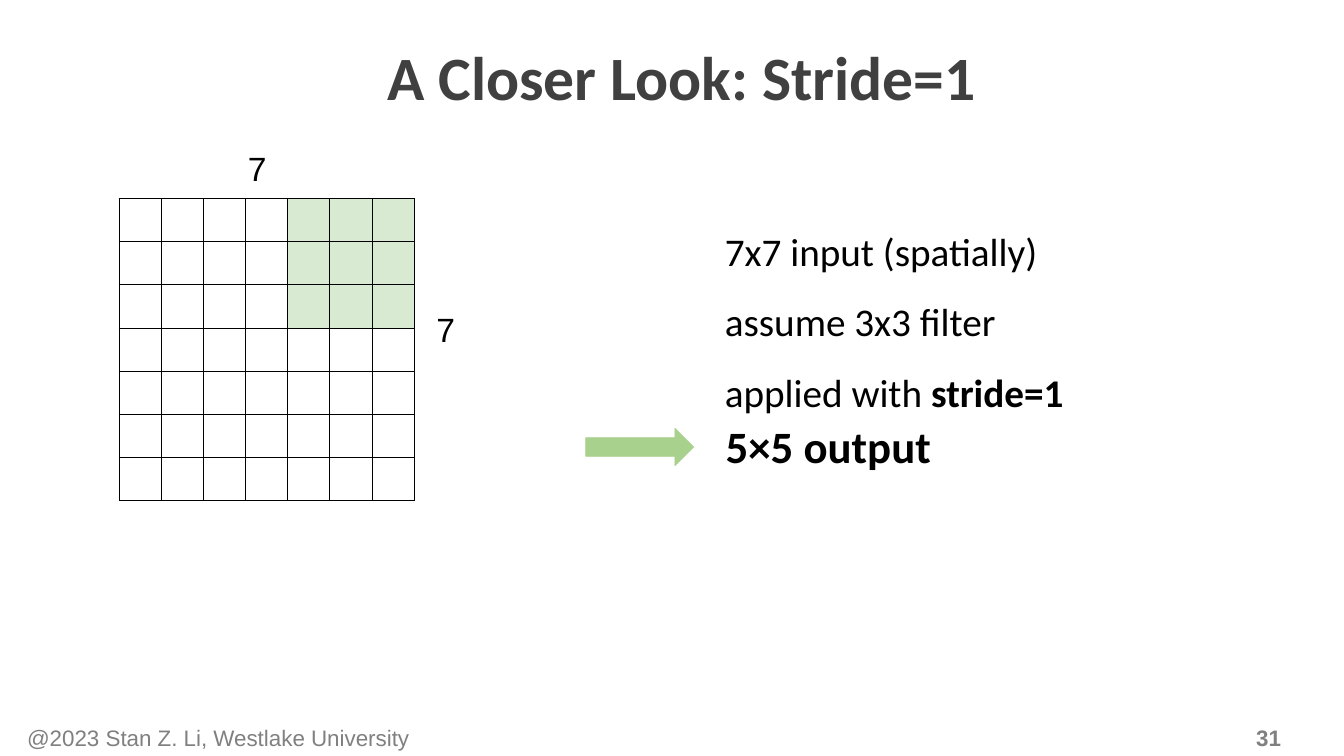
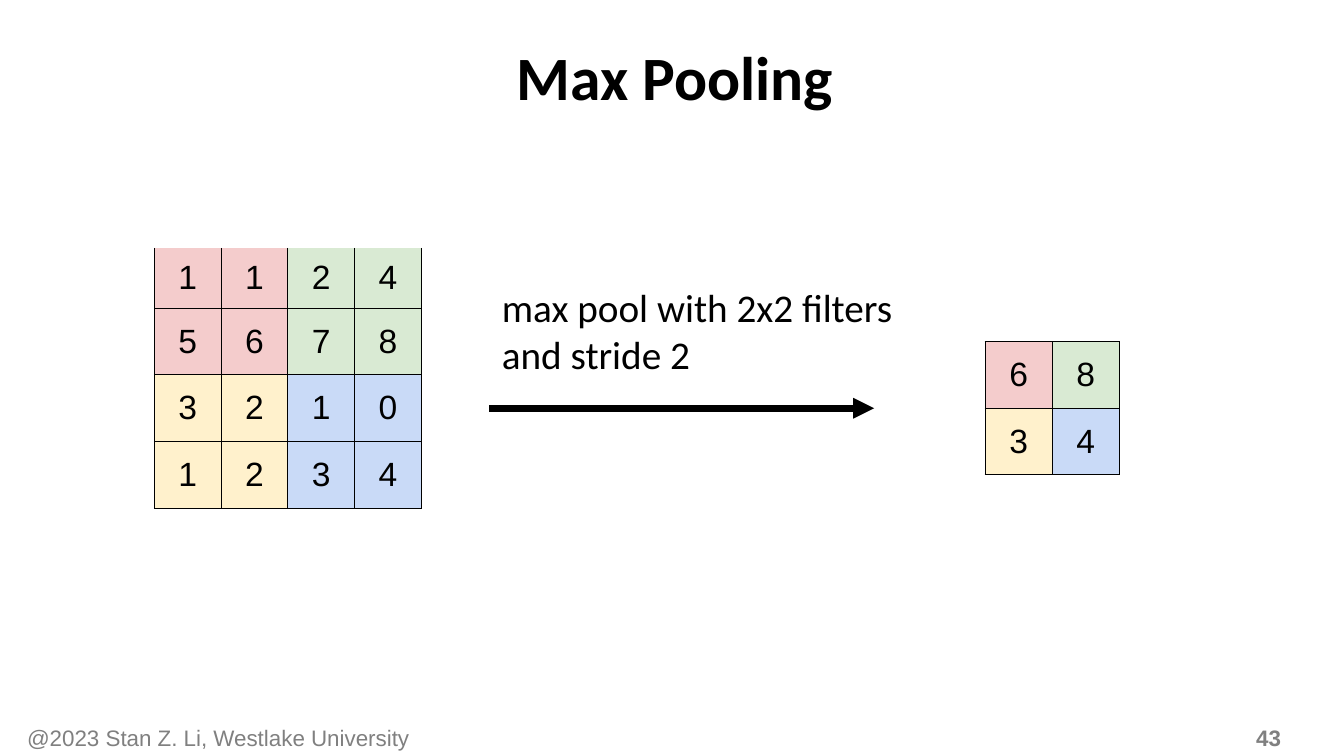
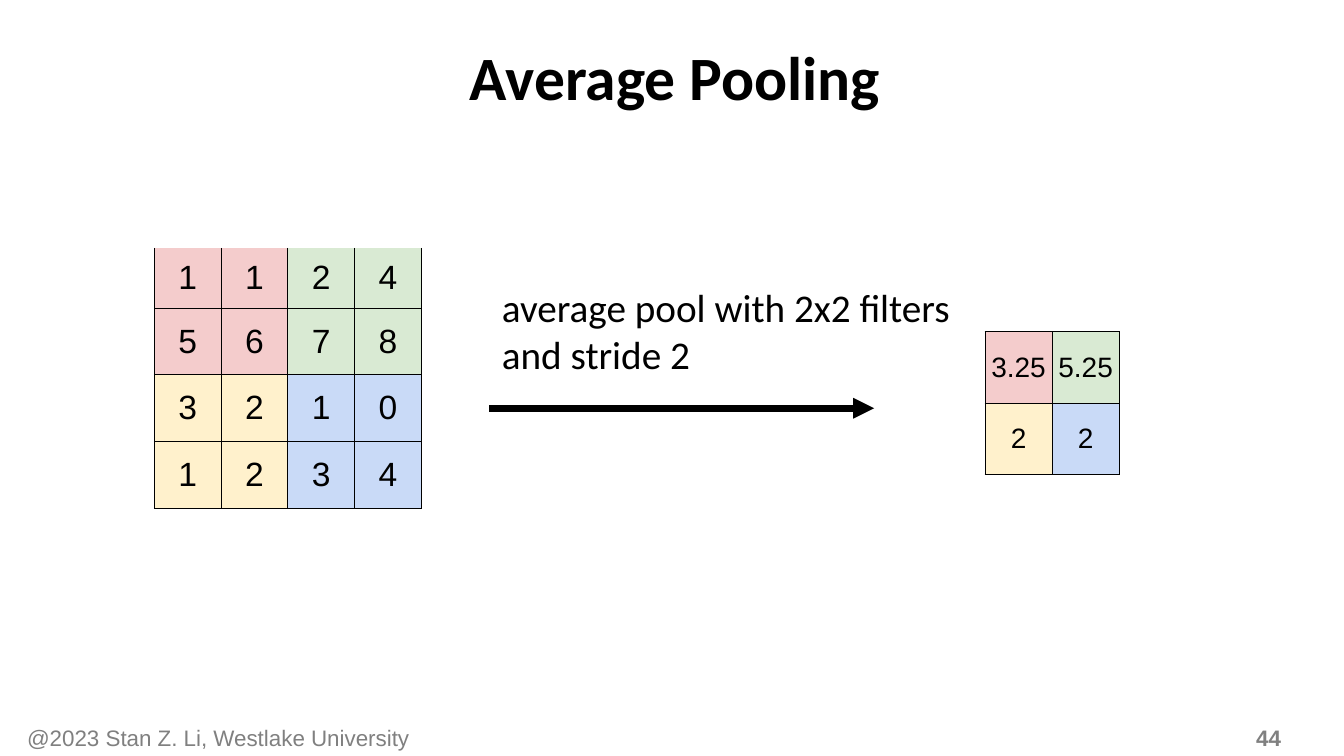
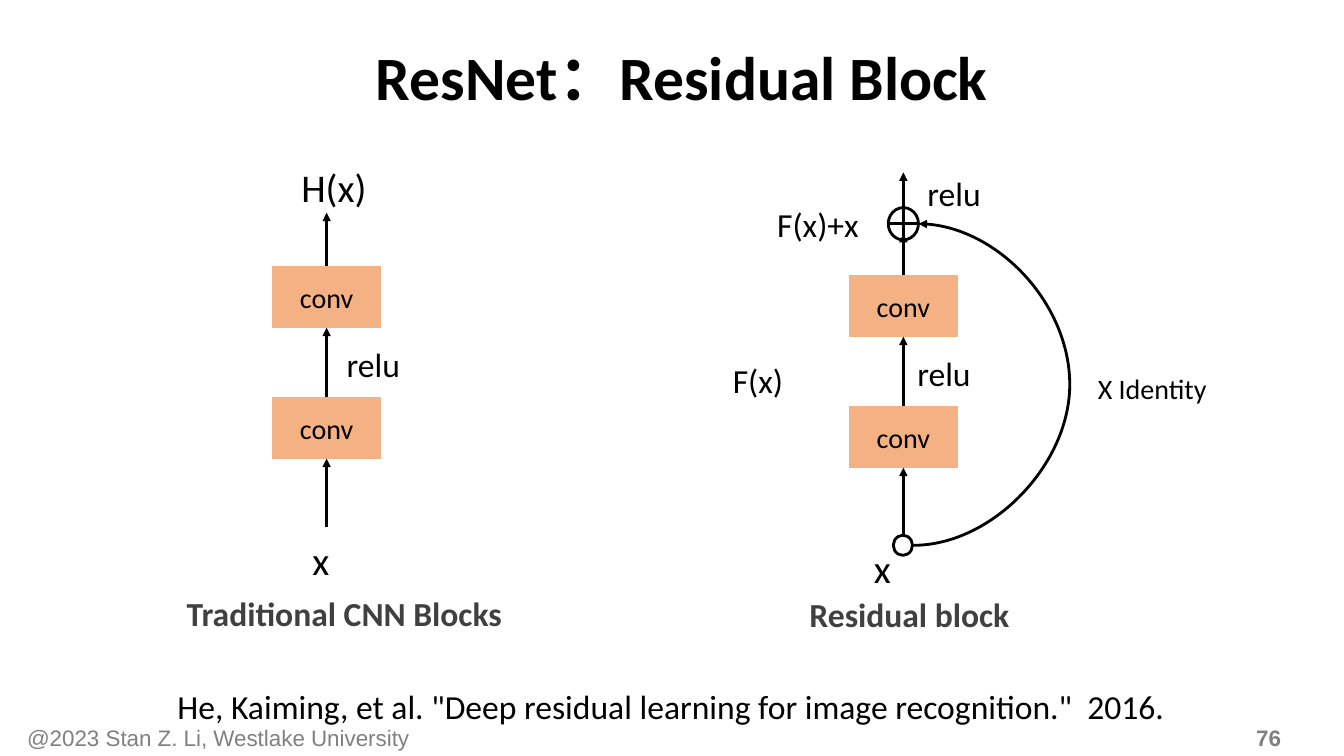
from lxml.etree import SubElement
from pptx import Presentation
from pptx.dml.color import RGBColor
from pptx.enum.shapes import MSO_CONNECTOR, MSO_SHAPE
from pptx.enum.text import MSO_ANCHOR, PP_ALIGN
from pptx.oxml.ns import qn
from pptx.util import Inches, Pt

COLORS = {
    "black": "000000",
    "title_gray": "404040",
    "footer_gray": "808080",
    "arrow_green": "A9D18E",
    "conv_orange": "F4B183",
    "red": "F4CCCC",
    "green": "D9EAD3",
    "yellow": "FFF1CC",
    "blue": "C9DAF7",
}
BODY_FONT = "Calibri"
PLAIN_FONT = "Arial"
FOOTER = "@2023 Stan Z. Li, Westlake University"
QUADRANTS = [["red", "green"], ["yellow", "blue"]]
POOL_INPUT = [[1, 1, 2, 4], [5, 6, 7, 8], [3, 2, 1, 0], [1, 2, 3, 4]]


def rgb(name):
    return RGBColor.from_string(COLORS[name])


def add_run(paragraph, text, size, font=BODY_FONT, color="black", bold=False):
    run = paragraph.add_run()
    run.text = text
    run.font.name = font
    run.font.size = Pt(size)
    run.font.bold = bold
    run.font.color.rgb = rgb(color)


def add_text(slide, box, lines, size, font=BODY_FONT, color="black", bold=False,
             align=PP_ALIGN.LEFT, anchor=MSO_ANCHOR.TOP, spacing=None):
    shape = slide.shapes.add_textbox(*map(Inches, box))
    frame = shape.text_frame
    frame.word_wrap = True
    frame.vertical_anchor = anchor
    for index, line in enumerate(lines):
        paragraph = frame.add_paragraph() if index else frame.paragraphs[0]
        paragraph.alignment = align
        paragraph.line_spacing = spacing
        runs = [(line, bold)] if isinstance(line, str) else line
        for text, run_bold in runs:
            add_run(paragraph, text, size, font, color, run_bold)
    return shape


def add_shape(slide, kind, box, fill=None, line="black", line_width=2):
    shape = slide.shapes.add_shape(kind, *map(Inches, box))
    shape.shadow.inherit = False
    if fill:
        shape.fill.solid()
        shape.fill.fore_color.rgb = rgb(fill)
    else:
        shape.fill.background()
    shape.line.color.rgb = rgb(line)
    shape.line.width = Pt(line_width)
    return shape


def add_arrow(slide, start, end, width=2, kind=MSO_CONNECTOR.STRAIGHT):
    connector = slide.shapes.add_connector(kind, *map(Inches, start + end))
    connector.line.color.rgb = rgb("black")
    connector.line.width = Pt(width)
    SubElement(connector.line._get_or_add_ln(), qn("a:tailEnd"), type="triangle")
    SubElement(connector._element.spPr, qn("a:effectLst"))
    return connector


def add_bulging_arrow(slide, start, end, bulge_x):
    connector = add_arrow(slide, start, end, kind=MSO_CONNECTOR.CURVE)
    ratio = (bulge_x - start[0]) / (end[0] - start[0])
    geometry = connector._element.spPr.find(qn("a:prstGeom"))
    adjustments = geometry.find(qn("a:avLst"))
    if adjustments is None:
        adjustments = SubElement(geometry, qn("a:avLst"))
    SubElement(adjustments, qn("a:gd"), name="adj1", fmla=f"val {round(ratio * 100000)}")


def set_borders(cell, open_top):
    properties = cell._tc.get_or_add_tcPr()
    for side in ("L", "R", "T", "B"):
        line = SubElement(properties, qn(f"a:ln{side}"), w=str(Pt(0.75)))
        if side == "T" and open_top:
            SubElement(line, qn("a:noFill"))
        else:
            fill = SubElement(line, qn("a:solidFill"))
            SubElement(fill, qn("a:srgbClr"), val=COLORS["black"])


def add_grid(slide, left, top, width, row_heights, values, fill_at, size=24, open_top=False):
    rows, columns = len(values), len(values[0])
    frame = slide.shapes.add_table(rows, columns, Inches(left), Inches(top),
                                   Inches(width), Inches(sum(row_heights)))
    table = frame.table
    table.first_row = False
    table.horz_banding = False
    for column in table.columns:
        column.width = Inches(width / columns)
    for row, height in enumerate(row_heights):
        table.rows[row].height = Inches(height)
        for column, value in enumerate(values[row]):
            cell = table.cell(row, column)
            set_borders(cell, open_top and row == 0)
            fill = fill_at(row, column)
            if fill:
                cell.fill.solid()
                cell.fill.fore_color.rgb = rgb(fill)
            else:
                cell.fill.background()
            if value is not None:
                cell.margin_left = cell.margin_right = 0
                cell.margin_top = cell.margin_bottom = 0
                cell.vertical_anchor = MSO_ANCHOR.MIDDLE
                paragraph = cell.text_frame.paragraphs[0]
                paragraph.alignment = PP_ALIGN.CENTER
                add_run(paragraph, str(value), size, PLAIN_FONT)


def add_quadrant_grid(slide, left, top, width, row_heights, values, **options):
    half = len(values) // 2
    add_grid(slide, left, top, width, row_heights, values,
             lambda row, column: QUADRANTS[row // half][column // half], **options)


def start_slide(presentation, title, number, title_color="black"):
    slide = presentation.slides.add_slide(presentation.slide_layouts[6])
    heading = add_text(slide, (0, 0.26, 13.33, 1.08), [title], 44, color=title_color, bold=True,
                       align=PP_ALIGN.CENTER, anchor=MSO_ANCHOR.MIDDLE, spacing=0.9)
    heading.text_frame.margin_left = Inches(0.3)
    footer_style = dict(size=16, font=PLAIN_FONT, color="footer_gray", anchor=MSO_ANCHOR.MIDDLE)
    add_text(slide, (0.17, 7.13, 5.64, 0.37), [FOOTER], **footer_style)
    add_text(slide, (12.36, 7.19, 0.82, 0.26), [str(number)], bold=True, **footer_style)
    return slide


def build_stride_slide(presentation):
    slide = start_slide(presentation, "A Closer Look: Stride=1", 31, "title_gray")
    count = 7
    add_grid(slide, 1.18, 1.97, 2.93, [3 / count] * count, [[None] * count] * count,
             lambda row, column: "green" if row < 3 and column >= count - 3 else None)
    for left, top in ((2.36, 1.42), (4.23, 3.02)):
        add_text(slide, (left, top, 0.4, 0.5), [str(count)], 24, PLAIN_FONT)
    add_text(slide, (7.09, 1.97, 3.95, 2.69),
             ["7x7 input (spatially)", "assume 3x3 filter",
              [("applied with ", False), ("stride=1", True)]], 28, spacing=1.5)
    add_shape(slide, MSO_SHAPE.RIGHT_ARROW, (5.81, 4.25, 1.07, 0.37),
              "arrow_green", "arrow_green", 0.5)
    add_text(slide, (7.1, 4.11, 2.76, 0.64), ["5×5 output"], 32, bold=True)


def build_pooling_slide(presentation, title, number, method, result, top, row_height, size):
    slide = start_slide(presentation, title, number)
    add_quadrant_grid(slide, 1.53, 2.46, 2.65, [0.6] + [0.66] * 3, POOL_INPUT, open_top=True)
    add_arrow(slide, (4.85, 4.05), (8.67, 4.05), 5)
    add_quadrant_grid(slide, 9.77, top, 1.33, [row_height] * 2, result, size=size)
    add_text(slide, (4.88, 2.76, 5.83, 1.04),
             [f"{method} pool with 2x2 filters", "and stride 2"], 28)


def add_conv_stack(slide, center, top, output_tip):
    width, height, step = 1.07, 0.61, 1.3
    for box_top in (top, top + step):
        box = add_shape(slide, MSO_SHAPE.RECTANGLE, (center - width / 2, box_top, width, height),
                        "conv_orange", "conv_orange", 0.5)
        box.text_frame.vertical_anchor = MSO_ANCHOR.MIDDLE
        paragraph = box.text_frame.paragraphs[0]
        paragraph.alignment = PP_ALIGN.CENTER
        add_run(paragraph, "conv", 20)
    input_end = top + step + height
    for start, end in ((input_end + 0.68, input_end), (top + step, top + height),
                       (top, output_tip)):
        add_arrow(slide, (center, start), (center, end))


def build_resnet_slide(presentation):
    slide = start_slide(presentation, "ResNet：Residual Block", 76)
    center = 8.96
    add_conv_stack(slide, 3.24, 2.64, 2.11)
    add_conv_stack(slide, center, 2.73, 2.32)
    add_shape(slide, MSO_SHAPE.FLOWCHART_CONNECTOR, (8.86, 5.31, 0.19, 0.2))
    add_shape(slide, MSO_SHAPE.FLOWCHART_OR, (8.81, 2.06, 0.3, 0.32))
    add_arrow(slide, (center, 2.07), (center, 1.71))
    add_bulging_arrow(slide, (9.06, 5.41), (9.11, 2.22), 10.61)

    labels = [
        ("H(x)", 2.89, 1.57, 28),
        ("x", 3, 5.27, 28),
        ("x", 8.57, 5.35, 28),
        ("relu", 3.34, 3.36, 24),
        ("relu", 9, 3.45, 24),
        ("relu", 9.1, 1.67, 24),
        ("F(x)", 7.17, 3.52, 24),
        ("F(x)+x", 7.61, 1.97, 24),
        ("X Identity", 10.79, 3.64, 20),
    ]
    for text, left, top, size in labels:
        add_text(slide, (left, top, 1.5, 0.5), [text], size)
    for text, left, top, width in (("Traditional CNN Blocks", 1.65, 5.83, 3.53),
                                   ("Residual block", 7.78, 5.84, 2.48)):
        add_text(slide, (left, top, width, 0.5), [text], 24, color="title_gray",
                 bold=True, align=PP_ALIGN.CENTER)
    add_text(slide, (1.48, 6.56, 10.35, 0.64),
             ['He, Kaiming, et al. "Deep residual learning for image recognition."  2016.'],
             24, align=PP_ALIGN.CENTER, spacing=1.5)


def main():
    presentation = Presentation()
    presentation.slide_width = Inches(13.33)
    presentation.slide_height = Inches(7.5)
    build_stride_slide(presentation)
    build_pooling_slide(presentation, "Max Pooling ", 43, "max",
                        [[6, 8], [3, 4]], 3.39, 0.66, 24)
    build_pooling_slide(presentation, "Average Pooling ", 44, "average",
                        [[3.25, 5.25], [2, 2]], 3.29, 0.71, 20)
    build_resnet_slide(presentation)
    presentation.save("out.pptx")


if __name__ == "__main__":
    main()
